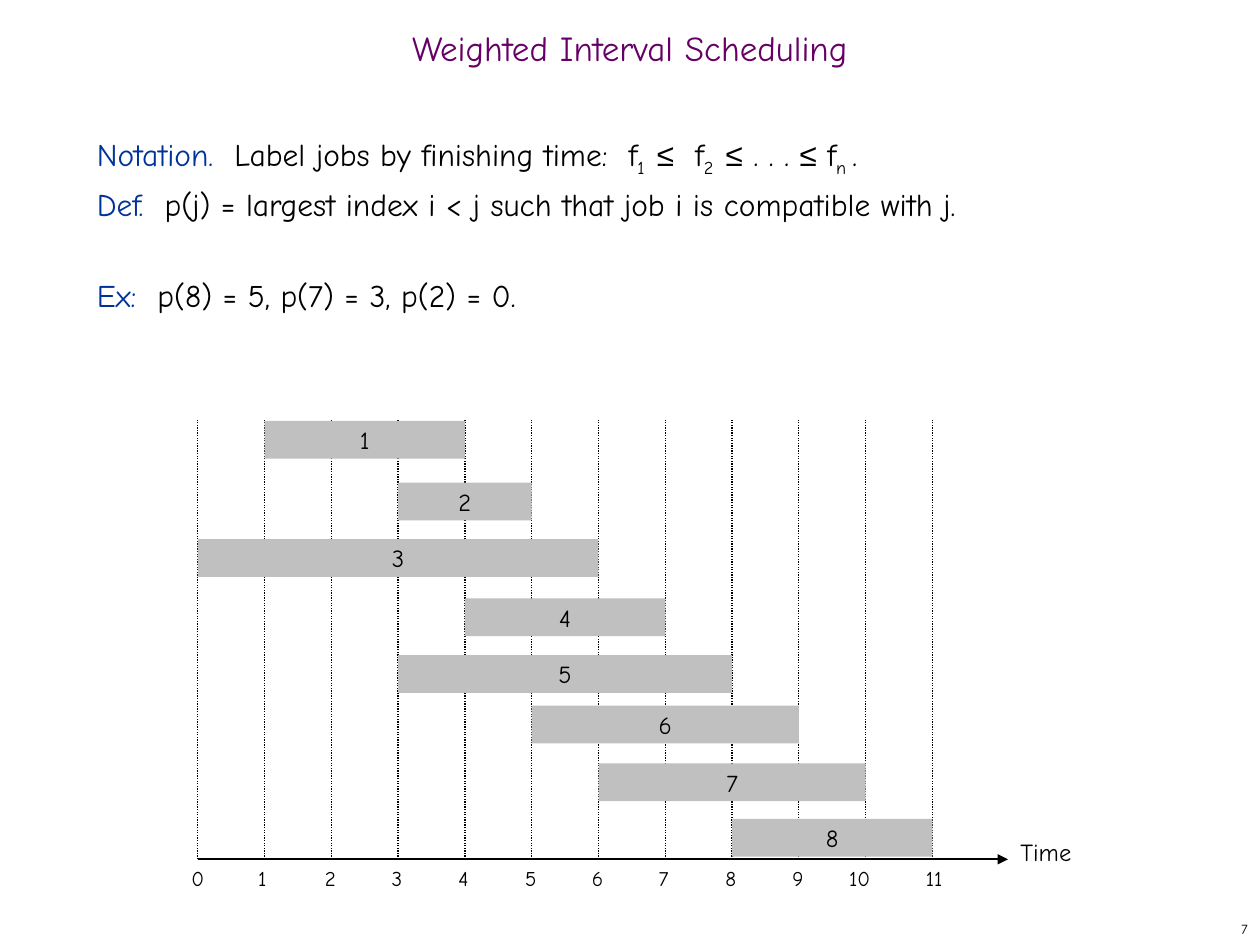
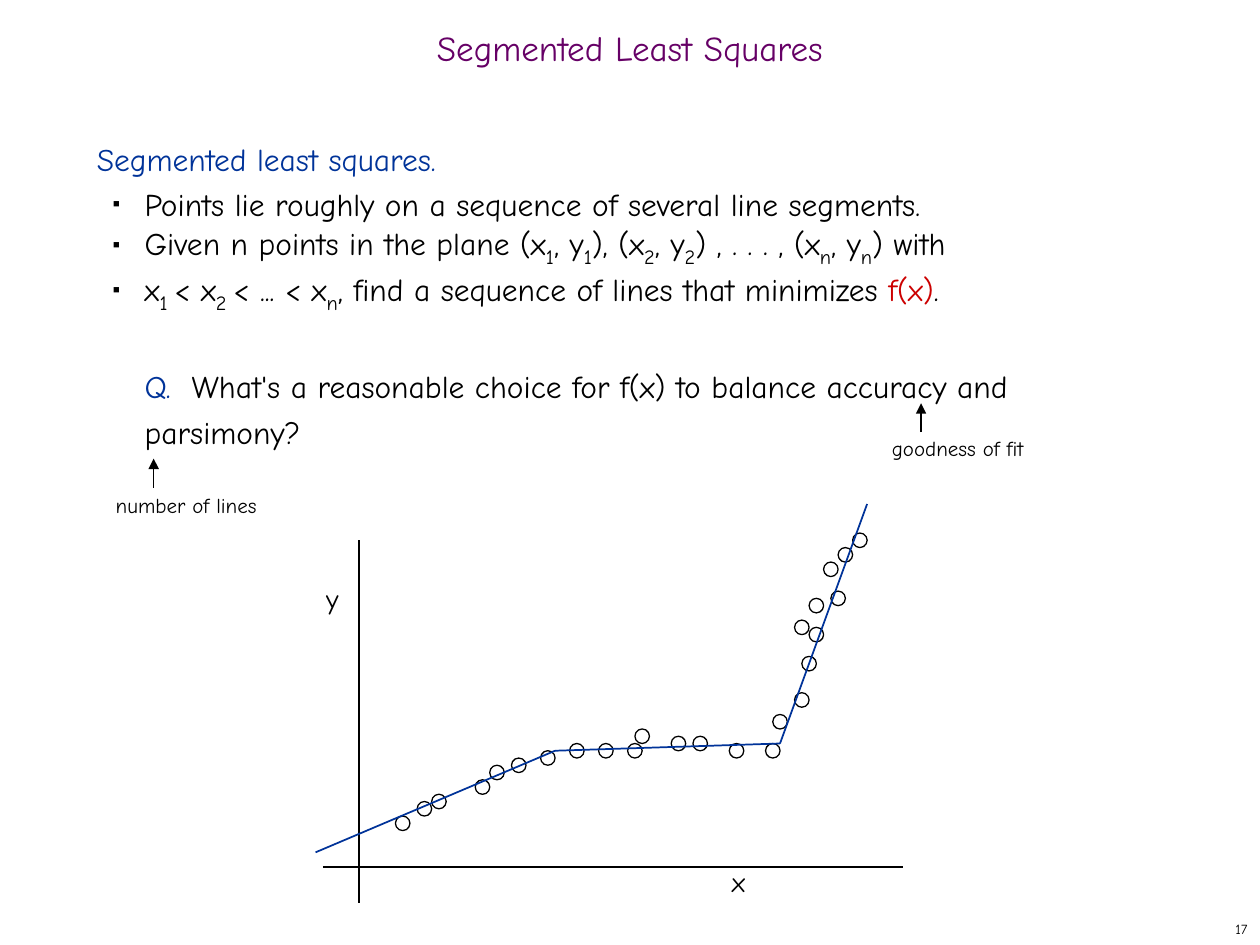
"""Build two algorithm slides: weighted interval scheduling and segmented least squares."""
from dataclasses import dataclass
from typing import NamedTuple, Optional

from lxml import etree
from pptx import Presentation
from pptx import util as u
from pptx.dml.color import RGBColor
from pptx.enum import dml, shapes, text
from pptx.oxml import ns

BLACK = RGBColor(0x00, 0x00, 0x00)
PURPLE = RGBColor(0x66, 0x00, 0x66)
BLUE = RGBColor(0x00, 0x33, 0x99)
RED = RGBColor(0xCC, 0x00, 0x00)
GREY = RGBColor(0xC0, 0xC0, 0xC0)

FONT = "Comic Neue"
SYMBOL_FONT = "Arial"
WIDTH, HEIGHT = u.Inches(10), u.Inches(7.5)
COLS, ROWS = 100, 75
LEADING = u.Pt(26)
LEFT, CENTER, RIGHT = text.PP_ALIGN.LEFT, text.PP_ALIGN.CENTER, text.PP_ALIGN.RIGHT
TOP, MIDDLE = text.MSO_ANCHOR.TOP, text.MSO_ANCHOR.MIDDLE


class Box(NamedTuple):
    """Left, top, width and height in grid columns and rows."""
    x: float
    y: float
    w: float
    h: float


class Point(NamedTuple):
    """A place in grid columns and rows."""
    x: float
    y: float


class Run(NamedTuple):
    """A stretch of text and what sets it apart from its paragraph."""
    text: str
    color: RGBColor = BLACK
    sub: bool = False
    size: Optional[float] = None
    font: Optional[str] = None


@dataclass
class Para:
    """A body paragraph with its indent in grid columns."""
    runs: list[Run]
    indent: float = 0
    bullet: bool = False
    gap: bool = False


class Job(NamedTuple):
    """A job's start and finish time and the row of its bar."""
    start: int
    finish: int
    row: float


TITLE = Box(0, 1.7, COLS, 5)
BODY = Box(6.7, 10, 85.8, 59.2)
PAGE = Box(79.2, 72.5, 20.8, 2.5)

TIME_LEFT, TIME_STEP, TIME_TOP, TIME_BASE = 15.7, 5.3, 33.3, 68.2
LAST_TICK = 11
TICK_NUDGE = {10: -0.8}
BAR_HEIGHT = 3
JOBS = [Job(1, 4, 33.4), Job(3, 5, 38.3), Job(0, 6, 42.8), Job(4, 7, 47.5),
        Job(3, 8, 52), Job(5, 9, 56), Job(6, 10, 60.6), Job(8, 11, 65)]

PLOT_ORIGIN = Point(28.5, 68.8)
PLOT_UNIT = 28.8 / 50
SAMPLES = [(6, 6), (9, 8), (11, 9), (17, 11), (19, 13), (22, 14), (26, 15), (30, 16), (34, 16),
           (38, 16), (39, 18), (44, 17), (47, 17), (52, 16), (57, 16), (58, 20), (61, 23),
           (62, 28), (63, 32), (61, 33), (63, 36), (66, 37), (65, 41), (67, 43), (69, 45)]
FIT = [(-6, 2), (27, 16), (58, 17), (70, 50)]


def col(n: float) -> int:
    return round(WIDTH * n / COLS)


def row(n: float) -> int:
    return round(HEIGHT * n / ROWS)


def place(box: Box) -> tuple[int, int, int, int]:
    return col(box.x), row(box.y), col(box.w), row(box.h)


def add_text(s, box: Box, words: str, size: float, color=BLACK, align=LEFT, anchor=TOP,
             wrap=True, spacing=None):
    tf = s.shapes.add_textbox(*place(box)).text_frame
    write(tf, words, size, color, align, anchor, wrap)
    tf.paragraphs[0].line_spacing = spacing


def write(tf, words: str, size: float, color=BLACK, align=LEFT, anchor=TOP, wrap=True):
    tf.word_wrap, tf.vertical_anchor = wrap, anchor
    p = tf.paragraphs[0]
    p.text, p.alignment = words, align
    set_font(p.font, size, color)


def set_font(font, size: float, color: Optional[RGBColor] = None):
    font.name, font.size = FONT, u.Pt(size)
    if color is not None:
        font.color.rgb = color


def add_body(s, paras: list[Para]):
    tf = s.shapes.add_textbox(*place(BODY)).text_frame
    tf.word_wrap = True
    for i, para in enumerate(paras):
        p = tf.add_paragraph() if i else tf.paragraphs[0]
        p.line_spacing = LEADING
        if para.gap:
            p.space_before = LEADING
        if para.indent:
            p._p.get_or_add_pPr().set("marL", str(col(para.indent)))
        if para.bullet:
            add_bullet(p)
        set_font(p.font, 18)
        for part in para.runs:
            r = p.add_run()
            r.text = part.text
            r.font.color.rgb = part.color
            if part.size:
                r.font.size = u.Pt(part.size)
            if part.font:
                r.font.name = part.font
            if part.sub:
                r._r.get_or_add_rPr().set("baseline", "-25000")


def add_bullet(p):
    props = p._p.get_or_add_pPr()
    props.set("indent", str(col(-2.5)))
    color = etree.SubElement(props, ns.qn("a:buClr"))
    etree.SubElement(color, ns.qn("a:srgbClr"), val=str(BLACK))
    etree.SubElement(props, ns.qn("a:buSzPct"), val="35000")
    etree.SubElement(props, ns.qn("a:buFont"), typeface=SYMBOL_FONT)
    etree.SubElement(props, ns.qn("a:buChar"), char="■")


def add_line(s, start: Point, end: Point, width=0.75, color=BLACK, dotted=False, arrow=False):
    line = s.shapes.add_connector(shapes.MSO_CONNECTOR.STRAIGHT, col(start.x), row(start.y),
                                  col(end.x), row(end.y))
    line.line.width, line.line.color.rgb = u.Pt(width), color
    if dotted:
        line.line.dash_style = dml.MSO_LINE.ROUND_DOT
    if arrow:
        etree.SubElement(line.line._get_or_add_ln(), ns.qn("a:tailEnd"), type="triangle")
    etree.SubElement(line._element.spPr, ns.qn("a:effectLst"))


def add_slide(prs, title: str, page: int):
    s = prs.slides.add_slide(prs.slide_layouts[6])
    add_text(s, PAGE, str(page), 8, align=RIGHT, anchor=MIDDLE)
    add_text(s, TITLE, title, 20, PURPLE, CENTER, MIDDLE, spacing=0.7)
    return s


def time_x(t: float) -> float:
    return TIME_LEFT + TIME_STEP * t


def add_job(s, number: int, job: Job):
    box = Box(time_x(job.start), job.row, TIME_STEP * (job.finish - job.start), BAR_HEIGHT)
    sp = s.shapes.add_shape(shapes.MSO_SHAPE.RECTANGLE, *place(box))
    sp.shadow.inherit = False
    sp.fill.solid()
    sp.fill.fore_color.rgb = GREY
    sp.line.fill.background()
    write(sp.text_frame, str(number), 14, BLACK, CENTER, MIDDLE, False)


def interval_scheduling(prs):
    s = add_slide(prs, "Weighted Interval Scheduling", 7)
    leq = Run("≤", font=SYMBOL_FONT)
    add_body(s, [
        Para([Run("Notation.  ", BLUE), Run("Label jobs by finishing time:  f"),
              Run("1  ", sub=True), leq, Run("  f"), Run("2  ", sub=True), leq,
              Run(" . . . "), leq, Run(" f"), Run("n ", sub=True), Run(".")]),
        Para([Run("Def.  ", BLUE),
              Run("p(j) = largest index i < j such that job i is compatible with j.")]),
        Para([Run("Ex:  ", BLUE), Run("p(8) = 5, p(7) = 3, p(2) = 0.")], gap=True),
    ])
    add_line(s, Point(time_x(0), TIME_BASE), Point(80, TIME_BASE), 1.25, arrow=True)
    add_text(s, Box(80, 65.9, 8.3, 3.3), "Time", 14)
    for t in range(LAST_TICK + 1):
        add_line(s, Point(time_x(t), TIME_BASE), Point(time_x(t), TIME_TOP), dotted=True)
        label_x = time_x(t) - 1.5 + TICK_NUDGE.get(t, 0)
        add_text(s, Box(label_x, TIME_BASE, 4.6, 3), str(t), 12)
    for number, job in enumerate(JOBS, 1):
        add_job(s, number, job)


def plot(x: float, y: float) -> Point:
    return Point(PLOT_ORIGIN.x + PLOT_UNIT * x, PLOT_ORIGIN.y - PLOT_UNIT * y)


def add_sample(s, x: float, y: float):
    corner = plot(x - 1, y + 1)
    sp = s.shapes.add_shape(shapes.MSO_SHAPE.OVAL,
                            *place(Box(*corner, 2 * PLOT_UNIT, 2 * PLOT_UNIT)))
    sp.shadow.inherit = False
    sp.fill.background()
    sp.line.color.rgb, sp.line.width = BLACK, u.Pt(0.75)


def add_callout(s, box: Box, words: str, tip: Point):
    add_text(s, box, words, 12, wrap=False)
    add_line(s, Point(tip.x, tip.y + 2.3), tip, arrow=True)


def subscripted(*parts: str) -> list[Run]:
    return [Run(part, sub=i % 2 == 1, size=20 if i % 2 else None)
            for i, part in enumerate(parts)]


def least_squares(prs):
    s = add_slide(prs, "Segmented Least Squares", 17)
    add_body(s, [
        Para([Run("Segmented least squares.", BLUE)]),
        Para([Run("Points lie roughly on a sequence of several line segments.")], 3.8, True),
        Para(subscripted("Given n points in the plane (x", "1", ", y", "1", "), (x", "2", ", y",
                         "2", ") , . . . , (x", "n", ", y", "n", ") with"), 3.8, True),
        Para(subscripted("x", "1 ", "< x", "2 ", "< ... < x", "n",
                         ", find a sequence of lines that minimizes ")
             + [Run("f(x)", RED), Run(".")], 3.8, True),
        Para([Run("Q.  ", BLUE), Run("What's a reasonable choice for f(x) to balance accuracy "
                                     "and parsimony?")], 3.8, gap=True),
    ])
    add_line(s, plot(0, 45), plot(0, -5))
    add_line(s, plot(-5, 0), plot(75, 0))
    for x, y in SAMPLES:
        add_sample(s, x, y)
    for start, end in zip(FIT, FIT[1:]):
        add_line(s, plot(*start), plot(*end), 1, BLUE)
    add_text(s, Box(57.1, 68.1, 3.1, 3.7), "x", 16, wrap=False)
    add_text(s, Box(24.9, 45.7, 3, 3.7), "y", 16, wrap=False)
    add_callout(s, Box(69.8, 34.1, 12.5, 3), "goodness of fit", Point(73.1, 32))
    add_callout(s, Box(8.2, 38.6, 13.2, 3), "number of lines", Point(12.2, 36.4))


def main():
    prs = Presentation()
    prs.slide_width, prs.slide_height = WIDTH, HEIGHT
    interval_scheduling(prs)
    least_squares(prs)
    prs.save("out.pptx")


if __name__ == "__main__":
    main()
